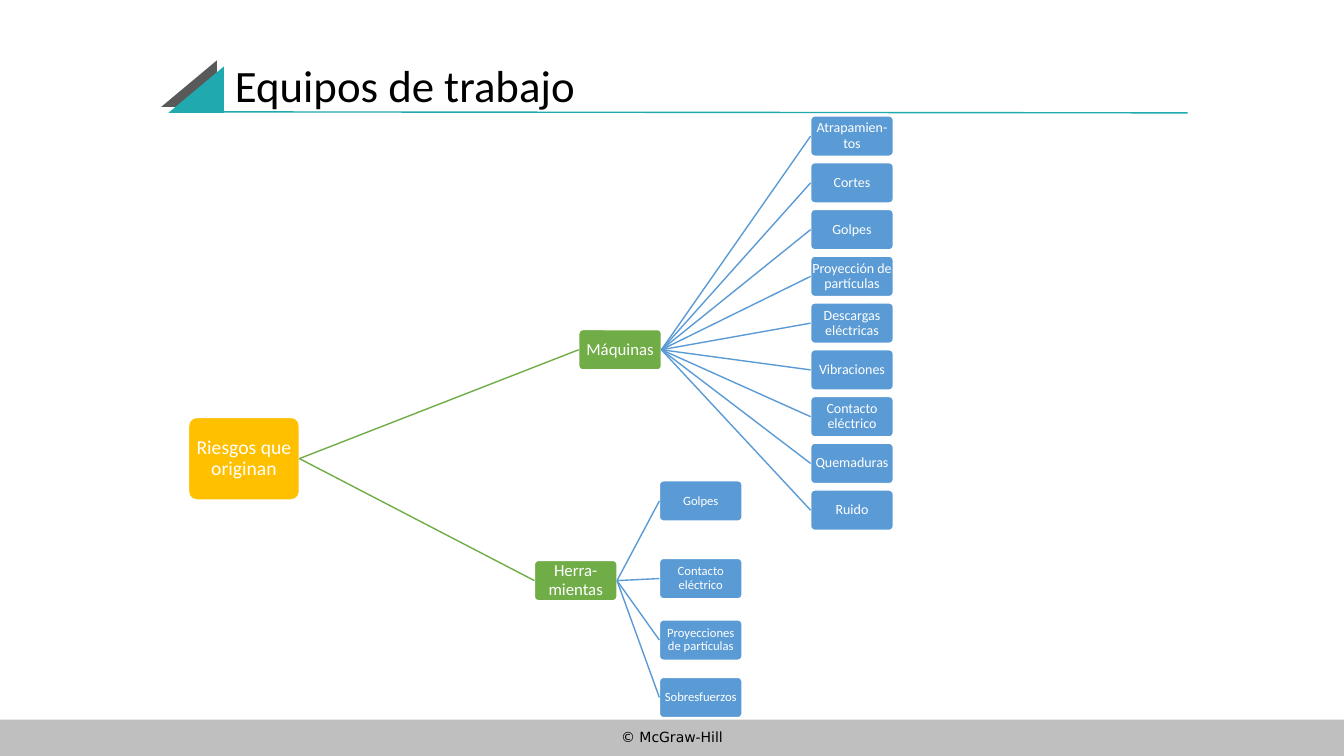
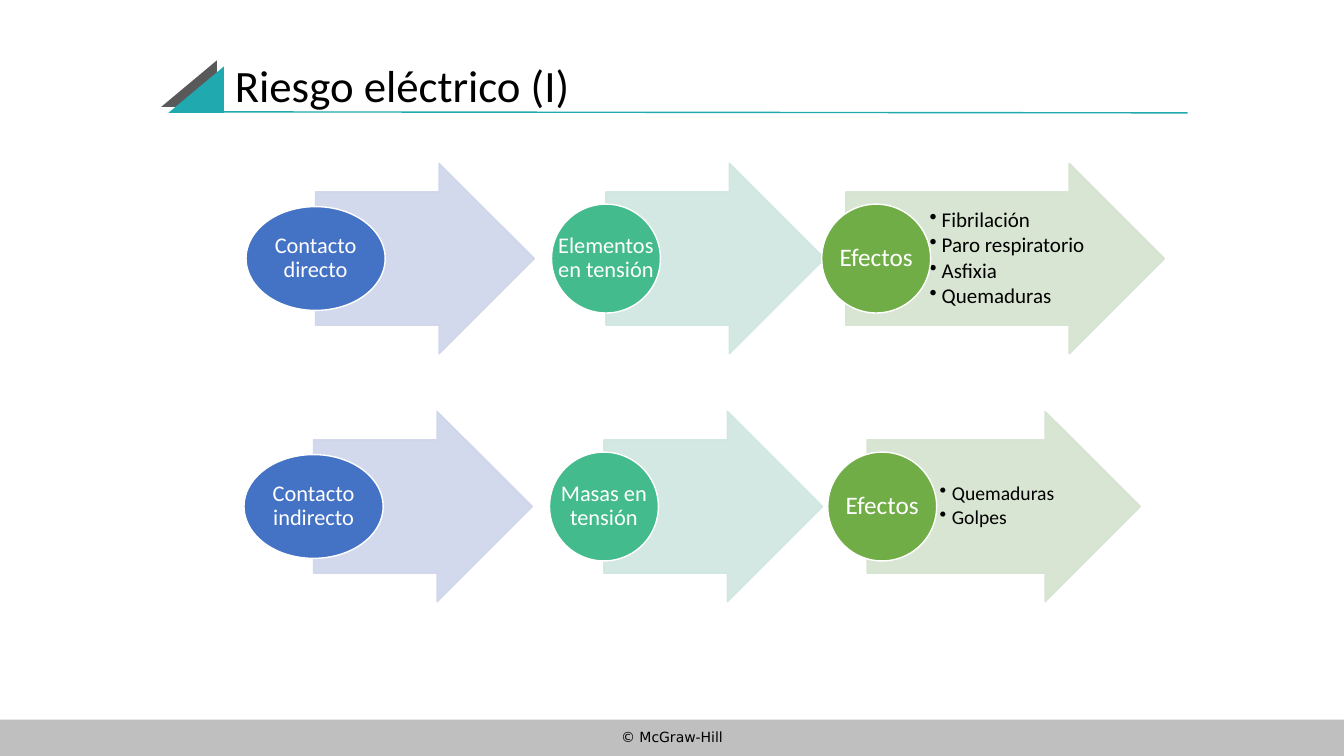
"""Build two slides on work equipment risks and electrical risk."""
from lxml.etree import SubElement
from pptx import Presentation
from pptx.dml.color import RGBColor
from pptx.enum.shapes import MSO_CONNECTOR, MSO_SHAPE
from pptx.enum.text import MSO_ANCHOR, MSO_AUTO_SIZE, PP_ALIGN
from pptx.oxml.ns import qn
from pptx.util import Inches, Pt

BLACK = RGBColor(0x00, 0x00, 0x00)
WHITE = RGBColor(0xFF, 0xFF, 0xFF)
BAND_GRAY = RGBColor(0xBF, 0xBF, 0xBF)
DARK_GRAY = RGBColor(0x59, 0x59, 0x59)
TEAL = RGBColor(0x20, 0xAA, 0xAF)
AMBER = RGBColor(0xFF, 0xC0, 0x00)
GREEN = RGBColor(0x70, 0xAD, 0x47)
LEAF_BLUE = RGBColor(0x5B, 0x9B, 0xD5)
BLUE = RGBColor(0x44, 0x72, 0xC4)
MINT = RGBColor(0x43, 0xBB, 0x8D)
PALE_BLUE = RGBColor(0xCF, 0xD5, 0xEA)
PALE_MINT = RGBColor(0xCF, 0xE6, 0xE0)
PALE_GREEN = RGBColor(0xD5, 0xE3, 0xCF)

BODY_FONT = "Calibri"
FOOTER_FONT = "DejaVu Sans"
FOOTER = "© McGraw-Hill"
SLIDE_WIDTH, SLIDE_HEIGHT = 13.33, 7.5

RISKS_TITLE = "Equipos de trabajo"
ROOT = ("Riesgos que originan", (1.87, 4.14, 1.1, 0.82))
NODE_WIDTH, NODE_HEIGHT = 0.82, 0.4
MACHINE_TOP, MACHINE_STEP = 1.15, 0.464
MACHINE_RISKS = ["Atrapamien-tos", "Cortes", "Golpes", "Proyección de partículas",
                 "Descargas eléctricas", "Vibraciones", "Contacto eléctrico",
                 "Quemaduras", "Ruido"]
TOOL_RISKS = [("Golpes", 4.77), ("Contacto eléctrico", 5.54),
              ("Proyecciones de partículas", 6.15), ("Sobresfuerzos", 6.72)]
BRANCHES = [
    {"label": "Máquinas", "left": 5.74, "top": 3.27, "leaf_left": 8.04, "leaf_size": 10,
     "leaves": [(risk, MACHINE_TOP + i * MACHINE_STEP)
                for i, risk in enumerate(MACHINE_RISKS)]},
    {"label": "Herra-mientas", "left": 5.3, "top": 5.56, "leaf_left": 6.54, "leaf_size": 9,
     "leaves": TOOL_RISKS},
]

ELECTRIC_TITLE = "Riesgo eléctrico (I)"
ARROW_HEIGHT = 1.89
STAGES = [
    {"oval": BLUE, "arrow": PALE_BLUE, "width": 1.38, "height": 1.03, "size": 16},
    {"oval": MINT, "arrow": PALE_MINT, "width": 1.08, "height": 1.08, "size": 16},
    {"oval": GREEN, "arrow": PALE_GREEN, "width": 1.08, "height": 1.08, "size": 18},
]
FLOWS = [
    {"top": 1.62, "effect_size": 15, "text_indent": 0.83,
     "effects": ["Fibrilación", "Paro respiratorio", "Asfixia", "Quemaduras"],
     "steps": [("Contacto\vdirecto", 2.44, 3.13, 2.17),
               ("Elementos\ven tensión", 5.47, 6.01, 2.17),
               ("Efectos", 8.15, 8.39, 3.16)]},
    {"top": 4.08, "effect_size": 14, "text_indent": 0.72,
     "effects": ["Quemaduras", "Golpes"],
     "steps": [("Contacto\vindirecto", 2.42, 3.11, 2.17),
               ("Masas en\vtensión", 5.45, 5.99, 2.17),
               ("Efectos", 8.21, 8.6, 2.71)]},
]


def add_figure(slide, preset, box, fill, outline=None, adjustments=()):
    """Add a flat preset shape."""
    figure = slide.shapes.add_shape(preset, *map(Inches, box))
    figure.shadow.inherit = False
    figure.fill.solid()
    figure.fill.fore_color.rgb = fill
    if outline is None:
        figure.line.fill.background()
    else:
        figure.line.color.rgb = outline
        figure.line.width = Pt(1)
    for index, value in enumerate(adjustments):
        figure.adjustments[index] = value
    return figure


def add_line(slide, start, end, color):
    """Add a flat one-point line."""
    line = slide.shapes.add_connector(MSO_CONNECTOR.STRAIGHT, *map(Inches, start + end))
    line.line.color.rgb = color
    line.line.width = Pt(1)
    SubElement(line.element.spPr, qn("a:effectLst"))
    return line


def set_margins(frame, left=0, top=0, right=0, bottom=0):
    """Set the four insets of a text frame in inches."""
    frame.margin_left, frame.margin_top = Inches(left), Inches(top)
    frame.margin_right, frame.margin_bottom = Inches(right), Inches(bottom)


def format_paragraph(paragraph, size, color, align=PP_ALIGN.CENTER, font=BODY_FONT):
    """Apply the shared paragraph and run style."""
    paragraph.alignment = align
    paragraph.line_spacing = 0.9
    for run in paragraph.runs:
        run.font.name = font
        run.font.size = Pt(size)
        run.font.color.rgb = color


def set_label(figure, label, size, wrap=True):
    """Centre a white label in a shape."""
    frame = figure.text_frame
    frame.text = label
    frame.word_wrap = wrap
    frame.vertical_anchor = MSO_ANCHOR.MIDDLE
    set_margins(frame)
    format_paragraph(frame.paragraphs[0], size, WHITE)


def prepare_layout(layout, slide):
    """Place the title and move the band, footer and title mark to the layout."""
    heading = layout.placeholders[0]
    heading.left, heading.top = Inches(2.23), Inches(0.39)
    heading.width, heading.height = Inches(9.55), Inches(1.45)

    band = add_figure(slide, MSO_SHAPE.RECTANGLE, (0, 7.14, SLIDE_WIDTH, 0.36), BAND_GRAY)
    footer = slide.shapes.add_textbox(Inches(0), Inches(7.18), Inches(SLIDE_WIDTH), Inches(0.3))
    footer.text_frame.word_wrap = True
    footer.text_frame.text = FOOTER
    format_paragraph(footer.text_frame.paragraphs[0], 10, BLACK, font=FOOTER_FONT)
    footer.text_frame.paragraphs[0].line_spacing = 1.0
    triangles = [add_figure(slide, MSO_SHAPE.ISOSCELES_TRIANGLE, (left, top, 0.55, 0.46),
                            color, adjustments=[1])
                 for left, top, color in [(1.6, 0.6, DARK_GRAY), (1.67, 0.66, TEAL)]]
    rule = add_line(slide, (2.22, 1.11), (11.78, 1.12), TEAL)
    for number, part in enumerate([band, footer, *triangles, rule], start=20):
        part.element.xpath("./*/p:cNvPr")[0].set("id", str(number))
        layout.shapes.element.append(part.element)


def set_title(slide, title):
    """Fill and format the title placeholder."""
    frame = slide.shapes.title.text_frame
    frame.text = title
    frame.word_wrap = True
    frame.auto_size = MSO_AUTO_SIZE.NONE
    frame.vertical_anchor = MSO_ANCHOR.TOP
    set_margins(frame, left=0.1, top=0.24, right=0.1)
    format_paragraph(frame.paragraphs[0], 32, BLACK, PP_ALIGN.LEFT)


def add_node(slide, label, box, color, size, parent=None):
    """Add a tree node and join it to its parent."""
    node = add_figure(slide, MSO_SHAPE.ROUNDED_RECTANGLE, box, color, WHITE, [0.1])
    set_label(node, label, size)
    if parent is not None:
        link = add_line(slide, (0, 0), (1, 1), color)
        link.begin_connect(parent, 3)
        link.end_connect(node, 1)
    return node


def build_risk_tree(slide):
    """Draw the tree of risks."""
    set_title(slide, RISKS_TITLE)
    root = add_node(slide, *ROOT, AMBER, 14)
    for branch in BRANCHES:
        box = (branch["left"], branch["top"], NODE_WIDTH, NODE_HEIGHT)
        hub = add_node(slide, branch["label"], box, GREEN, 12, root)
        for risk, top in branch["leaves"]:
            leaf_box = (branch["leaf_left"], top, NODE_WIDTH, NODE_HEIGHT)
            add_node(slide, risk, leaf_box, LEAF_BLUE, branch["leaf_size"], hub)


def set_effects(arrow, flow):
    """Write the bulleted effects inside an arrow."""
    frame = arrow.text_frame
    frame.text = "\n".join(flow["effects"])
    frame.word_wrap = True
    frame.vertical_anchor = MSO_ANCHOR.MIDDLE
    set_margins(frame, left=flow["text_indent"])
    for paragraph in frame.paragraphs:
        paragraph.space_after = Pt(2)
        format_paragraph(paragraph, flow["effect_size"], BLACK, PP_ALIGN.LEFT)
        properties = paragraph._p.get_or_add_pPr()
        properties.set("marL", str(Inches(0.12)))
        properties.set("indent", str(-Inches(0.12)))
        SubElement(properties, qn("a:buChar")).set("char", "•")


def build_electric_flows(slide):
    """Draw the two rows of contact, cause and effects."""
    set_title(slide, ELECTRIC_TITLE)
    for flow in FLOWS:
        middle = flow["top"] + ARROW_HEIGHT / 2
        for stage, (label, oval_left, arrow_left, arrow_width) in zip(STAGES, flow["steps"]):
            arrow = add_figure(slide, MSO_SHAPE.RIGHT_ARROW,
                               (arrow_left, flow["top"], arrow_width, ARROW_HEIGHT),
                               stage["arrow"], stage["arrow"], [0.7, 0.5])
            for color in arrow.element.spPr.iter(qn("a:srgbClr")):
                SubElement(color, qn("a:alpha")).set("val", "90000")
            if stage is STAGES[-1]:
                set_effects(arrow, flow)
            oval = add_figure(slide, MSO_SHAPE.OVAL,
                              (oval_left, middle - stage["height"] / 2,
                               stage["width"], stage["height"]),
                              stage["oval"], WHITE)
            set_label(oval, label, stage["size"], wrap=False)


def main():
    """Create and save the presentation."""
    deck = Presentation()
    deck.slide_width, deck.slide_height = Inches(SLIDE_WIDTH), Inches(SLIDE_HEIGHT)
    layout = deck.slide_layouts[5]
    tree_slide, flow_slide = [deck.slides.add_slide(layout) for _ in range(2)]
    prepare_layout(layout, tree_slide)
    build_risk_tree(tree_slide)
    build_electric_flows(flow_slide)
    deck.save("out.pptx")


if __name__ == "__main__":
    main()
